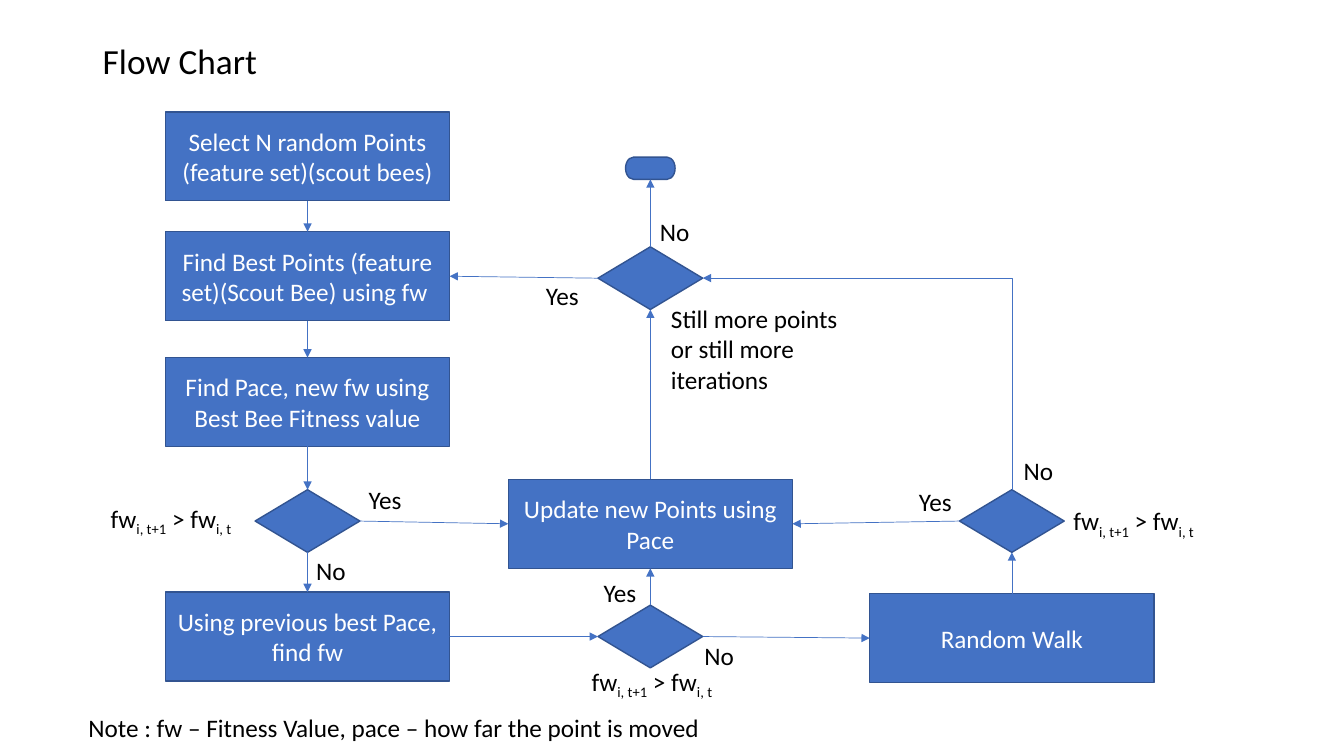
from dataclasses import dataclass

from lxml.etree import SubElement
from pptx import Presentation
from pptx.dml.color import RGBColor
from pptx.enum.shapes import MSO_CONNECTOR as Link, MSO_SHAPE as Preset
from pptx.enum.text import MSO_ANCHOR as Anchor, MSO_AUTO_SIZE as AutoSize, PP_ALIGN as Align
from pptx.oxml.ns import qn
from pptx.shapes.autoshape import Shape
from pptx.shapes.connector import Connector
from pptx.shapes.shapetree import SlideShapes
from pptx.text.text import TextFrame
from pptx.util import Cm, Pt


@dataclass(frozen=True)
class Theme:
    font: str = "Calibri"
    text: RGBColor = RGBColor(0, 0, 0)
    on_fill: RGBColor = RGBColor(255, 255, 255)
    fill: RGBColor = RGBColor(0x44, 0x72, 0xC4)
    outline: RGBColor = RGBColor(0x32, 0x54, 0x91)
    body_size: float = 18
    title_size: float = 25.2
    outline_width: float = 1
    arrow_width: float = 0.5


@dataclass(frozen=True)
class Kind:
    preset: Preset
    width: float
    height: float


@dataclass(frozen=True)
class Node:
    """A flow chart step, placed by its centre in centimetres."""
    name: str
    kind: Kind
    x: float
    y: float
    text: str = ""


@dataclass(frozen=True)
class Arrow:
    start: str
    start_side: int
    end: str
    end_side: int


@dataclass(frozen=True)
class Label:
    text: str
    left: float
    top: float
    width: float = 1.45
    height: float = 1.02


THEME = Theme()
TOP, LEFT, BOTTOM, RIGHT = range(4)
FIRST, MIDDLE, LAST = 7.75, 16.39, 25.5  # column centres

PROCESS = Kind(Preset.FLOWCHART_PROCESS, 7.16, 2.24)
DECISION = Kind(Preset.FLOWCHART_DECISION, 2.64, 1.58)
TERMINATOR = Kind(Preset.FLOWCHART_TERMINATOR, 1.25, 0.56)

NODES = [
    Node("select", PROCESS, FIRST, 3.94, "Select N random Points (feature set)(scout bees)"),
    Node("best", PROCESS, FIRST, 6.96, "Find Best Points (feature set)(Scout Bee) using fw "),
    Node("pace", PROCESS, FIRST, 10.13, "Find Pace, new fw using Best Bee Fitness value"),
    Node("pace better", DECISION, FIRST, 13.13),
    Node("previous", PROCESS, FIRST, 16.04, "Using previous best Pace, find fw"),
    Node("end", TERMINATOR, MIDDLE, 4.24),
    Node("more", DECISION, MIDDLE, 7.01),
    Node("update", PROCESS, MIDDLE, 13.2, "Update new Points using Pace"),
    Node("previous better", DECISION, MIDDLE, 16.04),
    Node("walk better", DECISION, LAST, 13.13),
    Node("walk", PROCESS, LAST, 16.08, "Random Walk"),
]

ARROWS = [
    Arrow("select", BOTTOM, "best", TOP),
    Arrow("best", BOTTOM, "pace", TOP),
    Arrow("pace", BOTTOM, "pace better", TOP),
    Arrow("pace better", BOTTOM, "previous", TOP),
    Arrow("pace better", RIGHT, "update", LEFT),
    Arrow("previous", RIGHT, "previous better", LEFT),
    Arrow("previous better", TOP, "update", BOTTOM),
    Arrow("previous better", RIGHT, "walk", LEFT),
    Arrow("walk", TOP, "walk better", BOTTOM),
    Arrow("walk better", LEFT, "update", RIGHT),
    Arrow("walk better", TOP, "more", RIGHT),
    Arrow("update", TOP, "more", BOTTOM),
    Arrow("more", LEFT, "best", RIGHT),
    Arrow("more", TOP, "end", BOTTOM),
]

FORMULA = "fw_i, t+1_ > fw_i, t_"  # underscores enclose subscripts
LABELS = [
    Label("Yes", 9.04, 12.09),
    Label("No", 7.72, 13.87),
    Label("Yes", 14.96, 14.43),
    Label("No", 17.5, 16),
    Label("Yes", 22.91, 12.12),
    Label("No", 25.55, 11.35),
    Label("Yes", 13.51, 6.93),
    Label("No", 16.38, 5.33),
    Label("Still more points or still more iterations", 16.66, 7.52, 5.05, 2.57),
    Label(FORMULA, 2.54, 12.55, 4.55),
    Label(FORMULA, 26.8, 12.62, 4.55),
    Label(FORMULA, 14.66, 16.66, 4.55),
    Label("Note : fw – Fitness Value, pace – how far the point is moved", 1.98, 17.83, 17.04),
]


def write(frame: TextFrame, text: str, *, size: float = THEME.body_size,
          color: RGBColor = THEME.text, align: Align = Align.LEFT,
          anchor: Anchor = Anchor.TOP, spacing: float = 1) -> None:
    """Fill the frame; parts between underscores become subscripts."""
    frame.word_wrap = True
    frame.vertical_anchor = anchor
    para = frame.paragraphs[0]
    para.alignment = align
    para.line_spacing = spacing
    for index, part in enumerate(text.split("_")):
        if not part:
            continue
        span = para.add_run()
        span.text = part
        span.font.name = THEME.font
        span.font.size = Pt(size)
        span.font.color.rgb = color
        if index % 2:
            span.font._element.set("baseline", "-25000")


def draw_node(shapes: SlideShapes, node: Node) -> Shape:
    kind = node.kind
    box = shapes.add_shape(kind.preset, Cm(node.x - kind.width / 2), Cm(node.y - kind.height / 2),
                           Cm(kind.width), Cm(kind.height))
    box.shadow.inherit = False
    box.fill.solid()
    box.fill.fore_color.rgb = THEME.fill
    box.line.color.rgb = THEME.outline
    box.line.width = Pt(THEME.outline_width)
    if node.text:
        write(box.text_frame, node.text, color=THEME.on_fill,
              align=Align.CENTER, anchor=Anchor.MIDDLE)
    return box


def turn_up_then_left(connector: Connector) -> None:
    """Give the elbow a single corner, reached by a quarter turn of its frame."""
    left, top, width, height = connector.left, connector.top, connector.width, connector.height
    connector.left = left + (width - height) // 2
    connector.top = top + (height - width) // 2
    connector.width, connector.height = height, width
    properties = connector._element.spPr
    properties.find(qn("a:prstGeom")).set("prst", "bentConnector2")
    frame = properties.find(qn("a:xfrm"))
    frame.set("rot", "16200000")
    frame.set("flipH", "0")
    frame.set("flipV", "1")


def draw_arrow(shapes: SlideShapes, arrow: Arrow, boxes: dict[str, Shape]) -> None:
    bent = arrow.start_side % 2 != arrow.end_side % 2
    connector = shapes.add_connector(Link.ELBOW if bent else Link.STRAIGHT, 0, 0, 0, 0)
    connector.begin_connect(boxes[arrow.start], arrow.start_side)
    connector.end_connect(boxes[arrow.end], arrow.end_side)
    if bent:
        turn_up_then_left(connector)
    connector.line.color.rgb = THEME.fill
    connector.line.width = Pt(THEME.arrow_width)
    SubElement(connector.line._get_or_add_ln(), qn("a:tailEnd"), type="triangle")
    SubElement(connector._element.spPr, qn("a:effectLst"))


def draw_label(shapes: SlideShapes, label: Label) -> None:
    box = shapes.add_textbox(Cm(label.left), Cm(label.top), Cm(label.width), Cm(label.height))
    write(box.text_frame, label.text)
    box.text_frame.auto_size = AutoSize.SHAPE_TO_FIT_TEXT


def main() -> None:
    deck = Presentation()
    deck.slide_width, deck.slide_height = Cm(33.87), Cm(19.05)
    shapes = deck.slides.add_slide(deck.slide_layouts[6]).shapes

    title = shapes.add_textbox(Cm(2.34), Cm(1.02), Cm(29.21), Cm(1.12))
    write(title.text_frame, "Flow Chart", size=THEME.title_size,
          anchor=Anchor.MIDDLE, spacing=0.9)
    boxes = {node.name: draw_node(shapes, node) for node in NODES}
    for arrow in ARROWS:
        draw_arrow(shapes, arrow, boxes)
    for label in LABELS:
        draw_label(shapes, label)
    deck.save("out.pptx")


if __name__ == "__main__":
    main()
